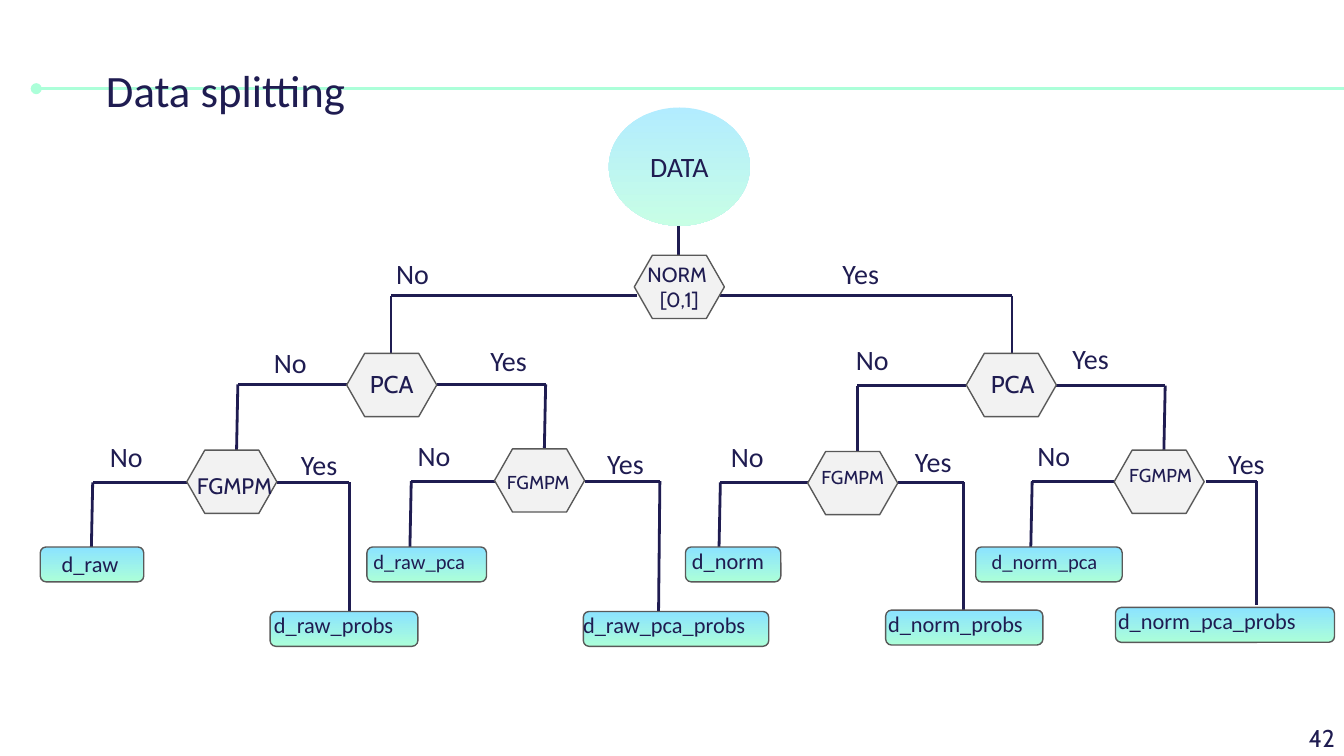
from pptx import Presentation
from pptx.dml.color import RGBColor
from pptx.enum.shapes import MSO_CONNECTOR, MSO_SHAPE
from pptx.enum.text import MSO_ANCHOR, PP_ALIGN
from pptx.oxml.ns import qn
from pptx.util import Inches, Pt
from lxml import etree

STRAIGHT = MSO_CONNECTOR.STRAIGHT
HEXAGON = MSO_SHAPE.FLOWCHART_PREPARATION
ROUNDED = MSO_SHAPE.ROUNDED_RECTANGLE
ELLIPSE = MSO_SHAPE.OVAL
TOP, MIDDLE = MSO_ANCHOR.TOP, MSO_ANCHOR.MIDDLE
LEFT, CENTER, RIGHT = PP_ALIGN.LEFT, PP_ALIGN.CENTER, PP_ALIGN.RIGHT

NAVY = RGBColor(0x1F, 0x1C, 0x51)
SKY = RGBColor(0x8B, 0xE3, 0xFF)
MINT = RGBColor(0xAC, 0xFF, 0xD9)
PALE_GREY = RGBColor(0xF2, 0xF2, 0xF2)
DARK_GREY = RGBColor(0x59, 0x59, 0x59)

SLIDE_W = Inches(10)
SLIDE_H = SLIDE_W * 9 // 16
HEX_W, HEX_H = 0.67, 0.47
LEAF_H = 0.26
LEAF_TEXT_H = 0.4

# Decisions: left, top, label lines, size, label box
DECISIONS = [
    (4.72, 1.9, ["NORM ", "[0,1]"], 11, (4.7, 1.85, 0.71, 0.57)),
    (2.58, 2.63, ["PCA"], 13, (2.6, 2.65, 0.63, 0.42)),
    (7.19, 2.63, ["PCA"], 13, (7.22, 2.65, 0.63, 0.42)),
    (1.39, 3.35, ["FGMPM"], 12, (1.34, 3.41, 0.81, 0.4)),
    (3.68, 3.34, ["FGMPM"], 10, (3.65, 3.42, 0.71, 0.37)),
    (6.01, 3.36, ["FGMPM"], 10, (5.96, 3.38, 0.77, 0.37)),
    (8.29, 3.35, ["FGMPM"], 10, (8.25, 3.37, 0.77, 0.37)),
]

# Branches: side of the decision, corner, top of the child
BRANCHES = [
    ((4.74, 2.2), (2.91, 2.2), (2.91, 2.63)),
    ((5.36, 2.2), (7.53, 2.2), (7.53, 2.63)),
    ((2.58, 2.86), (1.77, 2.86), (1.76, 3.36)),
    ((3.25, 2.86), (4.06, 2.86), (4.05, 3.35)),
    ((7.19, 2.87), (6.38, 2.87), (6.38, 3.36)),
    ((7.86, 2.87), (8.67, 2.87), (8.66, 3.35)),
    ((1.39, 3.59), (0.69, 3.59), (0.68, 4.07)),
    ((2.06, 3.59), (2.6, 3.59), (2.6, 4.55)),
    ((3.68, 3.58), (3.06, 3.58), (3.05, 4.07)),
    ((4.35, 3.58), (4.91, 3.58), (4.9, 4.55)),
    ((6.01, 3.59), (5.36, 3.59), (5.35, 4.07)),
    ((6.68, 3.59), (7.17, 3.59), (7.17, 4.54)),
    ((8.29, 3.58), (7.68, 3.58), (7.67, 4.07)),
    ((8.97, 3.58), (9.35, 3.58), (9.35, 4.5)),
]

# Answers: word, width and height, then left and top of each place
ANSWERS = [
    ("No", (0.67, 0.14), [(2.85, 1.87), (1.94, 2.53), (6.27, 2.51),
                          (0.72, 3.23), (3.01, 3.22), (5.34, 3.23),
                          (7.62, 3.22)]),
    ("Yes", (0.89, 0.16), [(6.17, 1.85), (3.55, 2.5), (7.88, 2.48)]),
    ("Yes", (0.67, 0.42), [(2.14, 3.23), (4.42, 3.22), (6.71, 3.21),
                           (9.04, 3.22)]),
]

# Data sets: left, top, width, name, size, left and top and width of the name
DATA_SETS = [
    (0.3, 4.07, 0.77, "d_raw", 12, (0.36, 3.99, 1.05)),
    (2.73, 4.07, 0.89, "d_raw_pca", 11, (2.68, 3.98, 1.19)),
    (5.1, 4.07, 0.71, "d_norm", 12, (5.05, 3.97, 1.19)),
    (7.26, 4.07, 1.09, "d_norm_pca", 11, (7.28, 3.98, 1.24)),
    (2.01, 4.55, 1.1, "d_raw_probs", 12, (1.94, 4.45, 1.83)),
    (4.34, 4.55, 1.38, "d_raw_pca_probs", 12, (4.24, 4.45, 2.3)),
    (6.59, 4.54, 1.17, "d_norm_probs", 12, (6.51, 4.44, 1.94)),
    (8.3, 4.52, 1.63, "d_norm_pca_probs", 12, (8.22, 4.42, 1.78)),
]


def write(shape, lines, size, font="Calibri", align=LEFT, anchor=TOP):
    frame = shape.text_frame
    frame.word_wrap = True
    frame.vertical_anchor = anchor
    frame.margin_left = frame.margin_right = Inches(0.1)
    frame.margin_top = frame.margin_bottom = Inches(0.1)
    for i, line in enumerate(lines):
        paragraph = frame.add_paragraph() if i else frame.paragraphs[0]
        paragraph.alignment = align
        run = paragraph.add_run()
        run.text = line
        run.font.name = font
        run.font.size = Pt(size)
        run.font.color.rgb = NAVY


def add_text(slide, box, lines, size, **style):
    text_box = slide.shapes.add_textbox(*map(Inches, box))
    write(text_box, lines, size, **style)


def add_line(slide, start, end, color=NAVY):
    line = slide.shapes.add_connector(
        STRAIGHT, *map(Inches, (*start, *end)))
    line.line.color.rgb = color
    line.line.width = Pt(1.5)
    etree.SubElement(line._element.spPr, qn("a:effectLst"))
    return line


def add_node(slide, kind, box, outlined=True):
    node = slide.shapes.add_shape(kind, *map(Inches, box))
    node.shadow.inherit = False
    if outlined:
        node.line.color.rgb = DARK_GREY
        node.line.width = Pt(0.75)
    else:
        node.line.fill.background()
    return node


def fill_gradient(node, opacity=100):
    node.fill.gradient()
    node.fill.gradient_angle = 270
    for stop, color in zip(node.fill.gradient_stops, (SKY, MINT)):
        stop.color.rgb = color
    if opacity < 100:
        for color in node._element.spPr.iter(qn("a:srgbClr")):
            etree.SubElement(color, qn("a:alpha"), val=str(opacity * 1000))


def add_decision(slide, left, top, lines, size, label_box):
    hexagon = add_node(slide, HEXAGON, (left, top, HEX_W, HEX_H))
    hexagon.fill.solid()
    hexagon.fill.fore_color.rgb = PALE_GREY
    add_text(slide, label_box, lines, size, font="Cabin", align=CENTER)


def add_data_set(slide, left, top, width, name, size, name_box):
    leaf = add_node(slide, ROUNDED, (left, top, width, LEAF_H))
    fill_gradient(leaf)
    add_text(slide, (*name_box, LEAF_TEXT_H), [name], size, anchor=MIDDLE)


def add_header(slide):
    rule = add_line(slide, (0.27, 0.66), (10, 0.66), MINT)
    etree.SubElement(rule.line._get_or_add_ln(), qn("a:headEnd"), type="oval")
    add_text(slide, (0.69, 0.37, 6.65, 0.59), ["Data splitting"], 24)
    add_text(slide, (9.53, 5.28, 0.5, 0.34), ["42"], 13,
             font="Cabin", align=RIGHT)


def main():
    deck = Presentation()
    deck.slide_width, deck.slide_height = SLIDE_W, SLIDE_H
    slide = deck.slides.add_slide(deck.slide_layouts[6])

    add_header(slide)

    # Root of the tree
    root = add_node(slide, ELLIPSE, (4.53, 0.8, 1.05, 0.88), outlined=False)
    fill_gradient(root, opacity=65)
    write(root, ["DATA"], 15, align=CENTER, anchor=MIDDLE)
    add_line(slide, (5.05, 1.68), (5.05, 1.9))

    # Branches lie behind the nodes
    for side, corner, child in BRANCHES:
        add_line(slide, side, corner)
        add_line(slide, corner, child)

    for decision in DECISIONS:
        add_decision(slide, *decision)
    for data_set in DATA_SETS:
        add_data_set(slide, *data_set)
    for answer, size, places in ANSWERS:
        for place in places:
            add_text(slide, (*place, *size), [answer], 15)

    deck.save("out.pptx")


if __name__ == "__main__":
    main()
